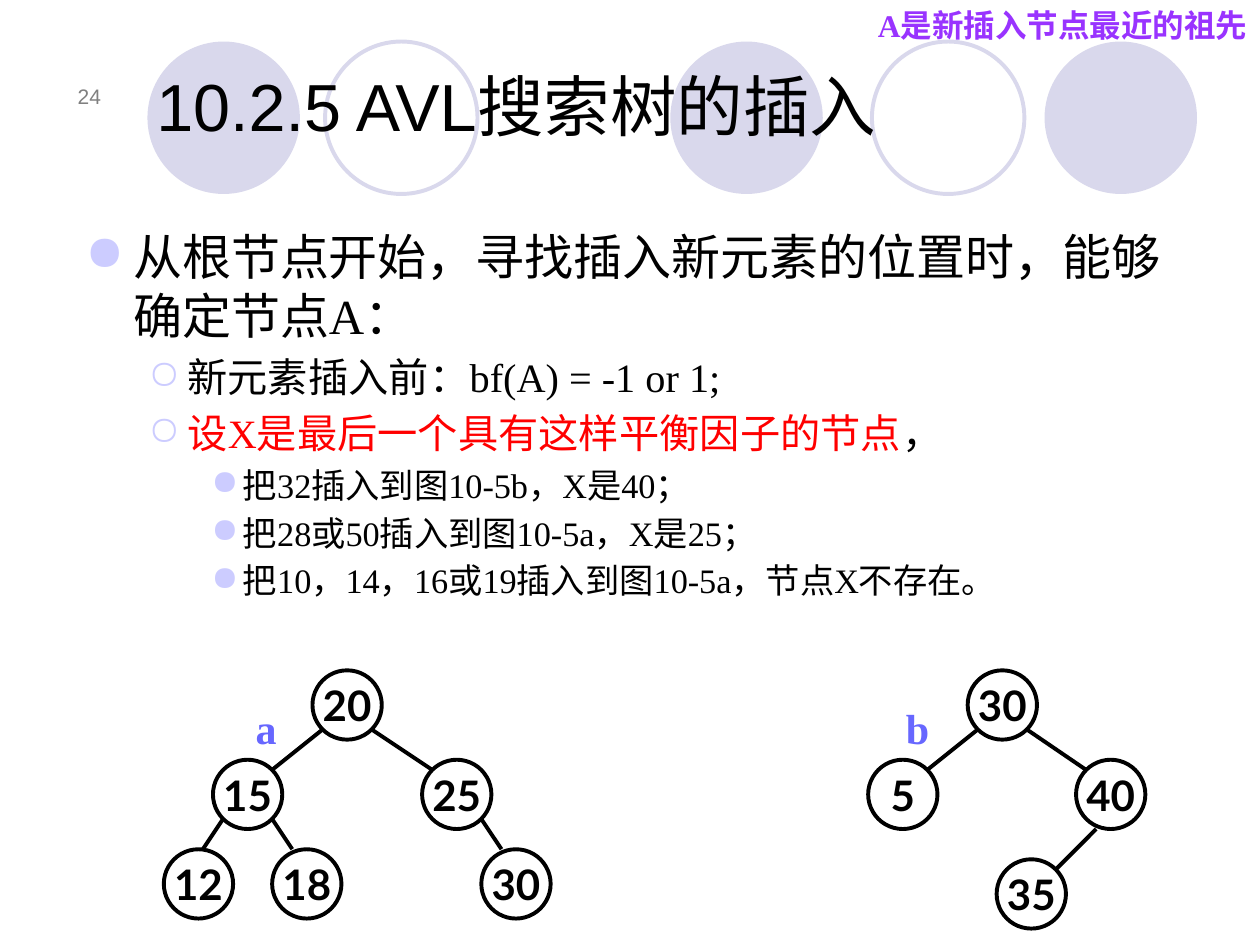
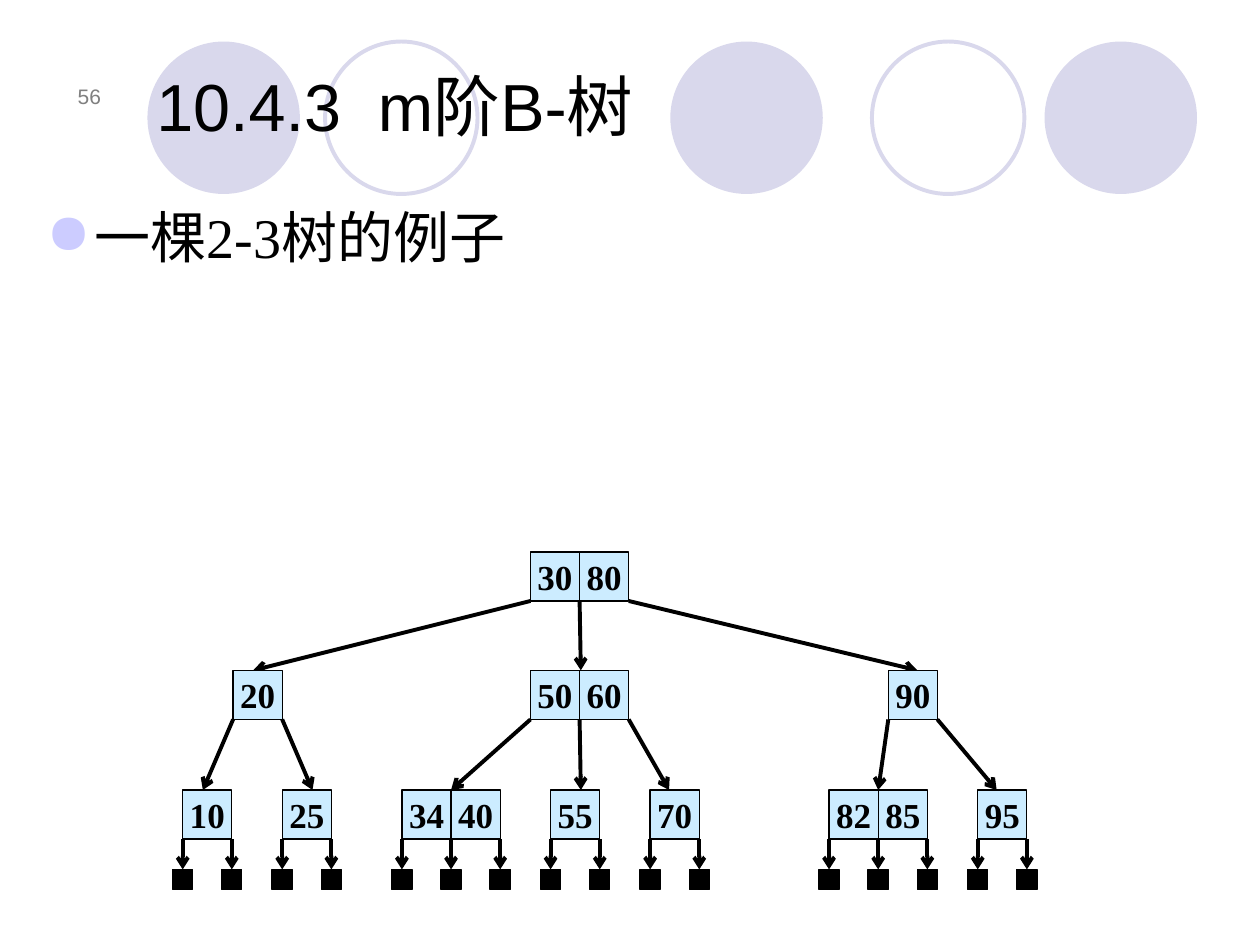
from lxml import etree
from pptx import Presentation
from pptx.dml.color import RGBColor
from pptx.enum import shapes, text
from pptx.oxml.ns import qn
from pptx.util import Inches, Pt

BLACK, RED, GREY = "000000", "FF0000", "808080"
MIST, LILAC, BLUE = "D9D8EC", "CCCCFF", "6767FF"
VIOLET, SKY = "9933FF", "CCECFF"
SANS, SERIF, ROUND = "Arial", "Times New Roman", "Lato"
OVAL, RECT = shapes.MSO_SHAPE.OVAL, shapes.MSO_SHAPE.RECTANGLE
MID, LOW = text.MSO_ANCHOR.MIDDLE, text.MSO_ANCHOR.BOTTOM
CENTER, RIGHT = text.PP_ALIGN.CENTER, text.PP_ALIGN.RIGHT

DISCS = [(5.32, True), (8.29, True), (1.17, True), (6.92, False), (2.58, False)]
LEVELS = [(0.38, 0.38, "●"), (0.81, 0.31, "○"), (1.25, 0.25, "●")]

AVL = {
    "title": "10.2.5 AVL搜索树的插入", "num": "24",
    "box": (0.58, 1.75, 8.86, 3.34), "gap": 1,
    "body": [
        (0, 28, [("从根节点开始，寻找插入新元素的位置时，能够确定节点A：", BLACK)]),
        (1, 23, [("新元素插入前：bf(A) = -1 or 1;", BLACK)]),
        (1, 23, [("设X是最后一个具有这样平衡因子的节点", RED), ("，", BLACK)]),
        (2, 19.6, [("把32插入到图10-5b，X是40；", BLACK)]),
        (2, 19.6, [("把28或50插入到图10-5a，X是25；", BLACK)]),
        (2, 19.6, [("把10，14，16或19插入到图10-5a，节点X不存在。", BLACK)]),
    ],
}
BTREE = {
    "title": "10.4.3  m阶B-树", "num": "56",
    "box": (0.27, 1.62, 9.53, 2.6), "gap": 0.9,
    "body": [(0, 32, [("一棵2-3树的例子", BLACK)])],
}

NODE = 0.55
NW, NE, SW, SE = (0.08, 0.08), (0.47, 0.08), (0.08, 0.47), (0.47, 0.47)
TREES = [
    {"name": "a", "at": 1.93,
     "nodes": {"20": (2.48, 5.32), "15": (1.69, 6.03), "25": (3.35, 6.03),
               "12": (1.3, 6.74), "18": (2.16, 6.74), "30": (3.82, 6.74)},
     "links": [("20", SW, "15", NE), ("20", SE, "25", NW),
               ("15", SW, "12", (0.31, 0)), ("15", SE, "18", (0.16, 0)),
               ("25", SE, "30", (0.16, 0))]},
    {"name": "b", "at": 7.09,
     "nodes": {"30": (7.68, 5.32), "5": (6.89, 6.03),
               "40": (8.54, 6.03), "35": (7.91, 6.82)},
     "links": [("30", SW, "5", NE), ("30", SE, "40", NW),
               ("40", (0.16, NODE), "35", NE)]},
]
HINT = "A是新插入节点最近的祖先"

CELL, LEAF = 0.39, 0.16
ROWS = (4.38, 5.32, 6.27, 6.9)
ROOT = (4.21, 4.61, "30 80", [
    (1.85, 2.01, "20", [(1.45, 1.61, "10", []), (2.24, 2.48, "25", [])]),
    (4.21, 4.61, "50 60", [(3.19, 3.58, "34 40", []), (4.37, 4.61, "55", []),
                           (5.16, 5.31, "70", [])]),
    (7.05, 7.28, "90", [(6.58, 6.97, "82 85", []), (7.76, 7.91, "95", [])]),
])


def hue(code):
    return RGBColor.from_string(code)


def write(para, words, size, face, tint=BLACK, bold=False):
    run = para.add_run()
    run.text = words
    font = run.font
    font.size, font.name, font.bold = Pt(size), face, bold
    font.color.rgb = hue(tint)


def shape(slide, kind, box, fill=None, line=BLACK, width=2.25):
    item = slide.shapes.add_shape(kind, *map(Inches, box))
    item.shadow.inherit = False
    if fill:
        item.fill.solid()
        item.fill.fore_color.rgb = hue(fill)
    else:
        item.fill.background()
    if line:
        item.line.color.rgb = hue(line)
        item.line.width = Pt(width)
    else:
        item.line.fill.background()
    return item


def label(item, words, size, face):
    frame = item.text_frame
    frame.word_wrap = False
    frame.vertical_anchor = MID
    para = frame.paragraphs[0]
    para.alignment = CENTER
    write(para, words, size, face, bold=True)


def box(slide, at):
    frame = slide.shapes.add_textbox(*map(Inches, at)).text_frame
    frame.word_wrap = True
    return frame


def line(slide, start, end, arrow=False):
    link = slide.shapes.add_connector(
        shapes.MSO_CONNECTOR.STRAIGHT, *map(Inches, start + end))
    link.line.color.rgb = hue(BLACK)
    link.line.width = Pt(2.25)
    props = link.element.spPr
    if arrow:
        etree.SubElement(props.find(qn("a:ln")), qn("a:tailEnd"), type="arrow")
    etree.SubElement(props, qn("a:effectLst"))
    return link


def bullet(para, level):
    left, hang, mark = LEVELS[level]
    para.level = level
    props = para._p.get_or_add_pPr()
    props.set("marL", str(Inches(left)))
    props.set("indent", str(-Inches(hang)))
    tint = etree.SubElement(props, qn("a:buClr"))
    etree.SubElement(tint, qn("a:srgbClr"), val=LILAC)
    etree.SubElement(props, qn("a:buChar"), char=mark)


def deck_band(slide, layout):
    tree = layout.shapes.element
    for spot, (left, solid) in enumerate(DISCS):
        disc = shape(slide, OVAL, (left, 0.33, 1.21, 1.21),
                     MIST if solid else None, None if solid else MIST)
        tree.insert(2 + spot, disc.element)


def start(deck, page):
    slide = deck.slides.add_slide(deck.slide_layouts[5])
    title = slide.shapes.title
    title.left, title.top, title.width, title.height = map(
        Inches, (1.14, 0.21, 8.51, 0.99))
    frame = title.text_frame
    frame.auto_size = text.MSO_AUTO_SIZE.NONE
    frame.vertical_anchor = LOW
    para = frame.paragraphs[0]
    para.alignment = text.PP_ALIGN.LEFT
    write(para, page["title"], 38, SANS)

    frame = box(slide, (0.35, 0.44, 0.55, 0.47))
    frame.vertical_anchor = LOW
    para = frame.paragraphs[0]
    para.alignment = RIGHT
    write(para, page["num"], 12, SANS, GREY)

    frame = box(slide, page["box"])
    for spot, (level, size, parts) in enumerate(page["body"]):
        para = frame.add_paragraph() if spot else frame.paragraphs[0]
        para.line_spacing = page["gap"]
        para.space_before = Pt(size * 0.2)
        bullet(para, level)
        for words, tint in parts:
            write(para, words, size, SERIF, tint)
    return slide


def draw_avl(slide):
    for tree in TREES:
        nodes = tree["nodes"]
        for key, (left, top) in nodes.items():
            label(shape(slide, OVAL, (left, top, NODE, NODE)), key, 24, ROUND)
        for top, out, low, into in tree["links"]:
            ends = [(nodes[key][0] + dx, nodes[key][1] + dy)
                    for key, (dx, dy) in ((top, out), (low, into))]
            line(slide, *ends)
        frame = box(slide, (tree["at"], 5.53, 0.31, 0.5))
        write(frame.paragraphs[0], tree["name"], 24, SERIF, BLUE, True)
    frame = box(slide, (6.87, 0, 3.13, 0.4))
    write(frame.paragraphs[0], HINT, 18, SERIF, VIOLET, True)


def draw_btree(slide, node, row=0):
    left, _, keys, kids = node
    keys = keys.split()
    top, below = ROWS[row], ROWS[row + 1]
    for spot, key in enumerate(keys):
        cell = shape(slide, RECT, (left + spot * CELL, top, CELL, CELL), SKY, width=0.75)
        label(cell, key, 20, SERIF)
    for spot in range(len(keys) + 1):
        x = left + spot * CELL
        tip = kids[spot][1] if kids else x
        link = line(slide, (x, top + CELL), (tip, below), True)
        if kids:
            draw_btree(slide, kids[spot], row + 1)
        else:
            leaf = shape(slide, RECT, (x - LEAF / 2, below, LEAF, LEAF), BLACK, width=0.75)
            link.end_connect(leaf, 0)


def main():
    deck = Presentation()
    deck.slide_width, deck.slide_height = Inches(10), Inches(7.5)
    slide = start(deck, AVL)
    deck_band(slide, deck.slide_layouts[5])
    draw_avl(slide)
    draw_btree(start(deck, BTREE), ROOT)
    deck.save("out.pptx")


if __name__ == "__main__":
    main()
